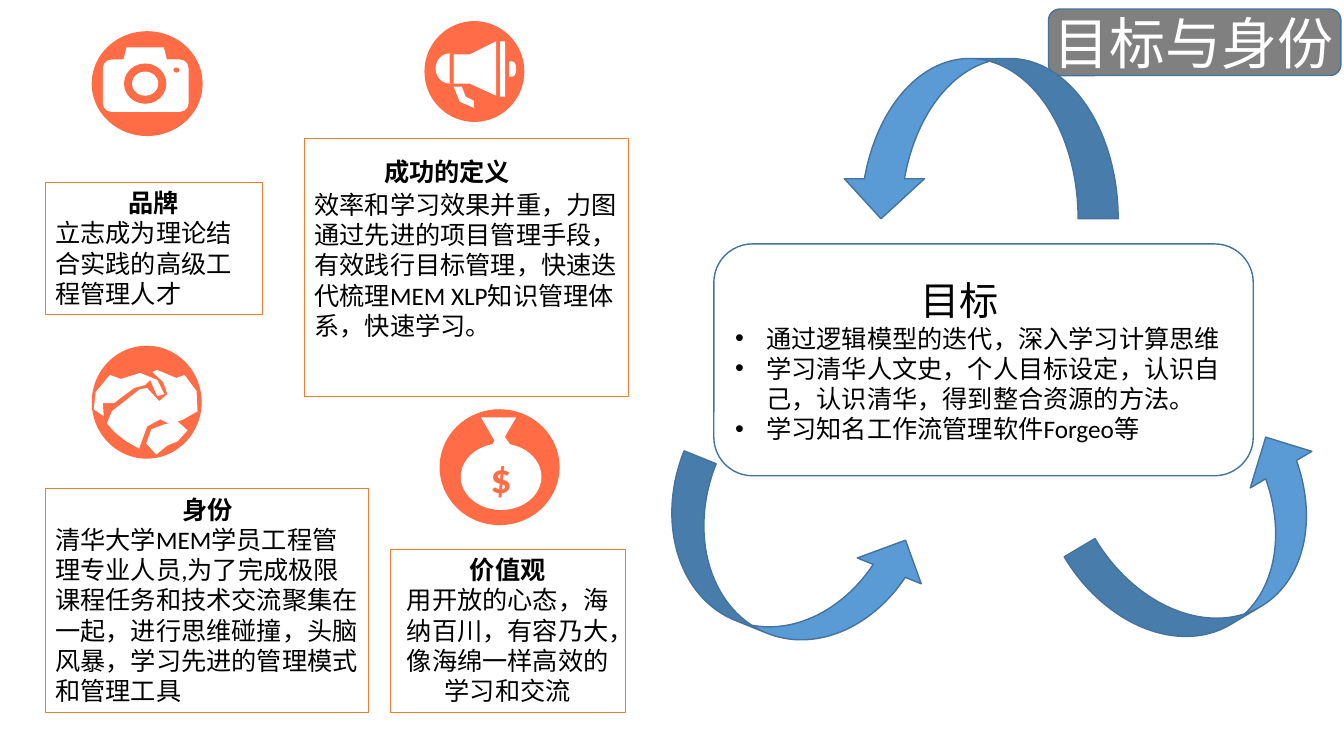
from lxml import etree
from pptx import Presentation
from pptx.dml.color import RGBColor
from pptx.enum.shapes import MSO_SHAPE
from pptx.enum.text import MSO_ANCHOR, MSO_AUTO_SIZE, PP_ALIGN
from pptx.oxml.ns import qn
from pptx.util import Pt

PX = 9144  # one px is a hundredth of an inch
FONT = "Calibri"
CENTER, LEFT = PP_ALIGN.CENTER, PP_ALIGN.LEFT
OVAL, BAR, ROUNDED = MSO_SHAPE.OVAL, MSO_SHAPE.RECTANGLE, MSO_SHAPE.ROUNDED_RECTANGLE
TRAPEZOID, TRIANGLE = MSO_SHAPE.TRAPEZOID, MSO_SHAPE.ISOSCELES_TRIANGLE
FUNNEL, HALF_ROUND = MSO_SHAPE.FLOWCHART_MERGE, MSO_SHAPE.FLOWCHART_DELAY
CURVED_ARROW = MSO_SHAPE.CURVED_UP_ARROW
BLACK = RGBColor(0x00, 0x00, 0x00)
WHITE = RGBColor(0xFF, 0xFF, 0xFF)
ORANGE = RGBColor(0xED, 0x7D, 0x31)
CORAL = RGBColor(0xFF, 0x6C, 0x45)
BLUE = RGBColor(0x5B, 0x9B, 0xD5)
DARK_BLUE = RGBColor(0x43, 0x73, 0x9E)
GRAY = RGBColor(0x80, 0x80, 0x80)

deck = Presentation()
deck.slide_width, deck.slide_height = 1333 * PX, 750 * PX
page = deck.slides.add_slide(deck.slide_layouts[1])


def paint(shape, fill=None, line=None):
    shape.shadow.inherit = False
    if fill is None:
        shape.fill.background()
    else:
        shape.fill.solid()
        shape.fill.fore_color.rgb = fill
    if line is None:
        shape.line.fill.background()
    else:
        shape.line.color.rgb = line
        shape.line.width = Pt(1)
    return shape


def add_preset(kind, frame, fill=None, line=None):
    shape = page.shapes.add_shape(kind, *[value * PX for value in frame])
    return paint(shape, fill, line)


# Icons: coral discs with white symbols
icon_parts = [
    # Camera
    (OVAL, (91, 31, 110, 104), CORAL),
    (ROUNDED, (102, 59, 85, 52), WHITE),
    (TRAPEZOID, (122, 47, 44, 14), WHITE),
    (OVAL, (123, 63, 42, 40), CORAL),
    (OVAL, (131, 71, 26, 24), WHITE),
    (OVAL, (172, 67, 6, 5), CORAL),
    # Megaphone
    (OVAL, (421, 21, 99, 100), CORAL),
    (OVAL, (432, 53, 28, 30), WHITE),
    (BAR, (446, 53, 14, 30), CORAL),
    (BAR, (496, 41, 5, 55), WHITE),
    (HALF_ROUND, (505, 61, 7, 15), WHITE),
    # Handshake
    (OVAL, (91, 343, 109, 112), CORAL),
    # Money bag
    (OVAL, (436, 406, 119, 115), CORAL),
    (FUNNEL, (477, 414, 35, 30), WHITE),
    (TRIANGLE, (461, 428, 72, 52), WHITE),
    (OVAL, (457, 440, 80, 66), WHITE),
]
for kind, frame, color in icon_parts:
    bag = add_preset(kind, frame, color)
bag.text_frame.margin_top = bag.text_frame.margin_bottom = 0
bag.text_frame.text = "$"
bag.text_frame.paragraphs[0].alignment = CENTER
dollar = bag.text_frame.paragraphs[0].runs[0].font
dollar.name, dollar.size, dollar.bold = FONT, Pt(30), True
dollar.color.rgb = CORAL

cone = [(450, 54), (466, 54), (492, 41), (492, 95), (466, 83), (450, 83)]
handle = [(450, 86), (458, 86), (462, 96), (470, 100), (470, 107), (456, 101)]
right_hand = [(195, 388), (183, 372), (175, 375), (156, 367), (151, 369), (162, 379),
              (166, 391), (158, 398), (146, 385), (139, 386), (111, 408), (106, 420),
              (114, 429), (124, 437), (138, 445), (146, 423), (159, 416), (169, 421),
              (182, 416), (196, 408)]
left_hand = [(102, 400), (113, 400), (133, 385), (144, 382), (149, 377), (156, 393),
             (163, 391), (156, 377), (139, 370), (120, 376), (109, 372), (95, 389),
             (93, 406), (103, 413)]
fingers = [(176, 418), (163, 421), (150, 426), (145, 440), (155, 451), (166, 442),
           (176, 438), (186, 427)]
for points in (cone, handle, right_hand, left_hand, fingers):
    builder = page.shapes.build_freeform(*points[0], scale=PX)
    builder.add_line_segments(points[1:])
    paint(builder.convert_to_shape(), WHITE)

# Outlined cards: frame, line width, heading, text, text alignment
cards = [
    ((45, 181, 215, 131), 0.75, "品牌", "立志成为理论结合实践的高级工程管理人才", LEFT),
    ((387, 545, 233, 162), 0.25, "价值观",
     "用开放的心态，海纳百川，有容乃大，像海绵一样高效的学习和交流", CENTER),
    ((302, 137, 321, 256), 0.75, "成功的定义",
     "效率和学习效果并重，力图通过先进的项目管理手段，有效践行目标管理，"
     "快速迭代梳理MEM XLP知识管理体系，快速学习。", LEFT),
    ((45, 485, 321, 222), 0.75, "身份",
     "清华大学MEM学员工程管理专业人员,为了完成极限课程任务和技术交流聚集在一起，"
     "进行思维碰撞，头脑风暴，学习先进的管理模式和管理工具", LEFT),
]
for frame, width, heading, text, alignment in cards:
    box = page.shapes.add_textbox(*[value * PX for value in frame])
    box.line.color.rgb = ORANGE
    box.line.width = Pt(width)
    box.text_frame.word_wrap = True
    box.text_frame.text = heading + "\n" + text
    head, body = box.text_frame.paragraphs
    head.alignment, body.alignment = CENTER, alignment
    if heading == "成功的定义":
        box.text_frame.margin_top = 18 * PX
        head.alignment = LEFT
        head._p.get_or_add_pPr().set("marL", str(69 * PX))
        head.space_after = Pt(2)
    for para in (head, body):
        for span in para.runs:
            span.font.name, span.font.size = FONT, Pt(18)
            span.font.bold = para is head
            span.font.color.rgb = BLACK

# Goals: body placeholder inside a rounded frame
goal_frame = add_preset(ROUNDED, (708, 242, 535, 230), line=DARK_BLUE)
goals = page.placeholders[1]
goals.left, goals.top, goals.width, goals.height = [v * PX for v in (719, 253, 513, 208)]
goal_frame._element.addnext(goals._element)
goals.text_frame.text = "\n".join([
    "目标",
    "通过逻辑模型的迭代，深入学习计算思维",
    "学习清华人文史，个人目标设定，认识自己，认识清华，得到整合资源的方法。",
    "学习知名工作流管理软件Forgeo等",
])
goals.text_frame.word_wrap = True
goals.text_frame.auto_size = MSO_AUTO_SIZE.NONE
goals.text_frame.vertical_anchor = MSO_ANCHOR.MIDDLE
for index, para in enumerate(goals.text_frame.paragraphs):
    properties = para._p.get_or_add_pPr()
    properties.set("marL", str((31 if index else 184) * PX))
    properties.set("indent", str((-31 if index else 0) * PX))
    if index:
        etree.SubElement(properties, qn("a:buChar")).set("char", "•")
    else:
        etree.SubElement(properties, qn("a:buNone"))
    para.alignment = LEFT
    para.space_before = Pt(0)
    for span in para.runs:
        span.font.name, span.font.size = FONT, Pt(18 if index else 28)
        span.font.color.rgb = BLACK

# Title on its gray plate
plate = add_preset(ROUNDED, (1040, 9, 290, 66), GRAY, DARK_BLUE)
title = page.shapes.title
title.left, title.top, title.width, title.height = [v * PX for v in (1033, 3, 301, 77)]
plate._element.addnext(title._element)
title.text_frame.text = "目标与身份"
title.text_frame.word_wrap = False
title.text_frame.auto_size = MSO_AUTO_SIZE.NONE
title.text_frame.vertical_anchor = MSO_ANCHOR.TOP
title.text_frame.paragraphs[0].alignment = CENTER
title_font = title.text_frame.paragraphs[0].runs[0].font
title_font.name, title_font.size = FONT, Pt(40)
title_font.color.rgb = WHITE

# Cycle of arrows around the goals
for frame, angle in [((643, 493, 271, 137), 22), ((1073, 474, 268, 142), 329.3),
                     ((834, 58, 275, 159), 180)]:
    add_preset(CURVED_ARROW, frame, BLUE, DARK_BLUE).rotation = angle

deck.save("out.pptx")
